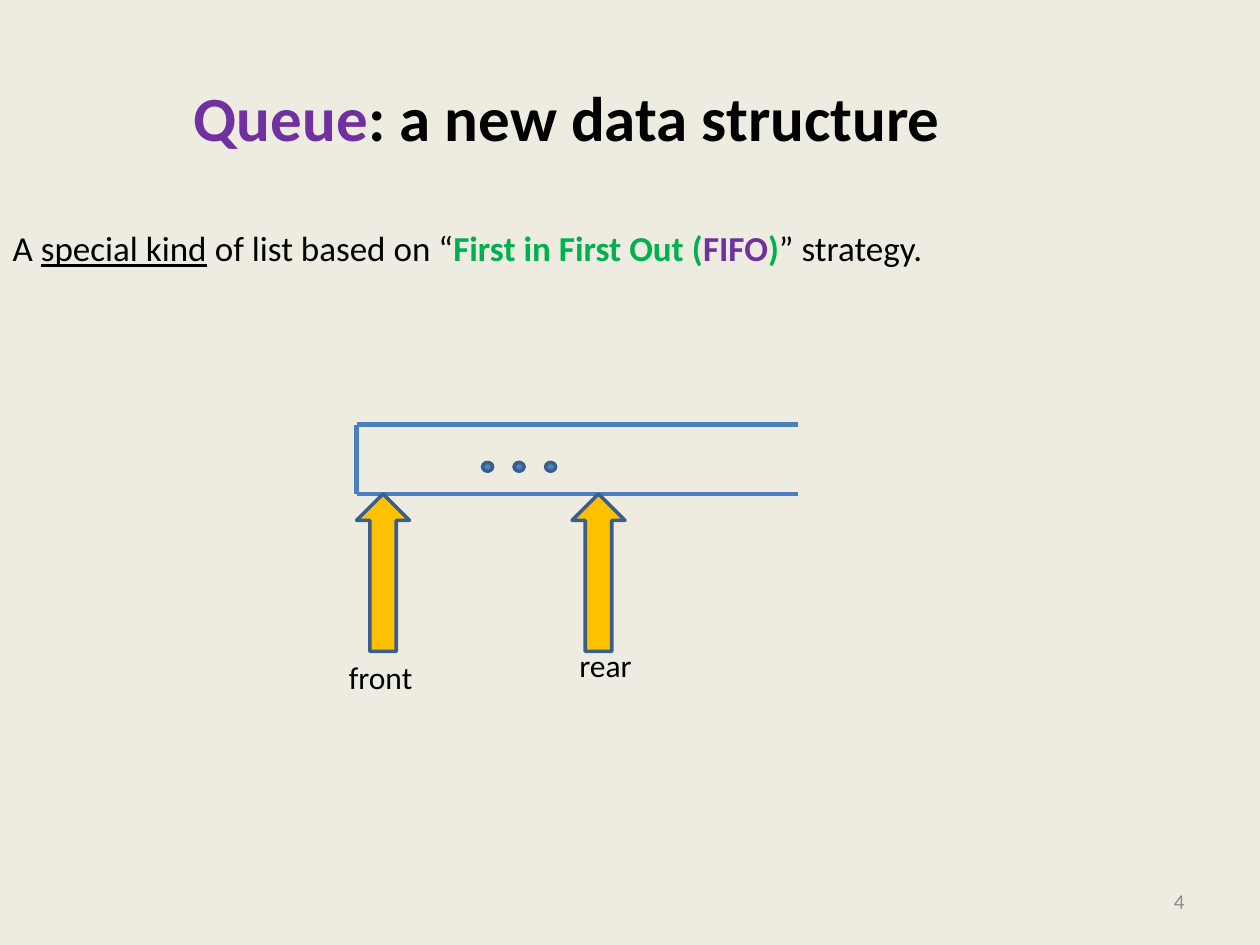
from lxml import etree
from pptx import Presentation
from pptx.dml.color import RGBColor
from pptx.enum.shapes import MSO_CONNECTOR, MSO_SHAPE
from pptx.enum.text import MSO_ANCHOR, MSO_AUTO_SIZE, PP_ALIGN
from pptx.oxml.ns import qn
from pptx.util import Inches, Pt

STRAIGHT = MSO_CONNECTOR.STRAIGHT
OVAL, UP_ARROW = MSO_SHAPE.OVAL, MSO_SHAPE.UP_ARROW
MIDDLE, TOP = MSO_ANCHOR.MIDDLE, MSO_ANCHOR.TOP
FIT_SHAPE = MSO_AUTO_SIZE.SHAPE_TO_FIT_TEXT
LEFT, CENTER, RIGHT = PP_ALIGN.LEFT, PP_ALIGN.CENTER, PP_ALIGN.RIGHT

CREAM = RGBColor(0xEE, 0xEC, 0xE1)
BLACK = RGBColor(0x00, 0x00, 0x00)
GRAY = RGBColor(0x8C, 0x8C, 0x8C)
PURPLE = RGBColor(0x70, 0x30, 0xA0)
GREEN = RGBColor(0x00, 0xB0, 0x50)
AMBER = RGBColor(0xFF, 0xC0, 0x00)
BLUE = RGBColor(0x4F, 0x81, 0xBD)
RAIL_BLUE = RGBColor(0x4B, 0x7E, 0xBC)
DARK_BLUE = RGBColor(0x3A, 0x5F, 0x8C)

FONT = "Calibri"
QUEUE_LEFT, QUEUE_RIGHT = 2.83, 6.33
QUEUE_TOP, QUEUE_BOTTOM = 3.37, 3.92


def place(shape, left, top, width, height):
    shape.left, shape.top = Inches(left), Inches(top)
    shape.width, shape.height = Inches(width), Inches(height)


def add_span(para, text, size, color=BLACK, bold=False, underline=False):
    span = para.add_run()
    span.text = text
    font = span.font
    font.name, font.size = FONT, Pt(size)
    font.bold, font.underline = bold, underline
    font.color.rgb = color


def write_spans(box, size, spans, align=LEFT, anchor=TOP):
    box.text_frame.vertical_anchor = anchor
    para = box.text_frame.paragraphs[0]
    para.alignment = align
    para.space_before = Pt(0)
    for text, style in spans:
        add_span(para, text, size, **style)


def remove_bullet(para):
    properties = para._p.get_or_add_pPr()
    properties.set("marL", "0")
    properties.set("indent", "0")
    etree.SubElement(properties, qn("a:buNone"))


def add_rail(group, start, end, weight):
    rail = group.shapes.add_connector(STRAIGHT, *map(Inches, start + end))
    rail.line.color.rgb = RAIL_BLUE
    rail.line.width = Pt(weight)
    etree.SubElement(rail._element.spPr, qn("a:effectLst"))


def add_solid(group, kind, left, top, width, height, fill):
    shape = group.shapes.add_shape(kind, *map(Inches, (left, top, width, height)))
    shape.shadow.inherit = False
    shape.fill.solid()
    shape.fill.fore_color.rgb = fill
    shape.line.color.rgb = DARK_BLUE
    shape.line.width = Pt(2)


def add_text(shapes, left, top, width, height):
    return shapes.add_textbox(*map(Inches, (left, top, width, height)))


def add_queue(page):
    group = page.shapes.add_group_shape()
    top_left, top_right = (QUEUE_LEFT, QUEUE_TOP), (QUEUE_RIGHT, QUEUE_TOP)
    bottom_left, bottom_right = (QUEUE_LEFT, QUEUE_BOTTOM), (QUEUE_RIGHT, QUEUE_BOTTOM)
    add_rail(group, top_left, top_right, 3)
    add_rail(group, bottom_right, bottom_left, 2.25)
    add_rail(group, bottom_left, top_left, 3)


def add_dots(page):
    group = page.shapes.add_group_shape()
    for index in range(3):
        add_solid(group, OVAL, 3.83 + 0.25 * index, 3.67, 0.08, 0.07, BLUE)


def add_pointer(page, arrow_left, label, label_left, label_top, label_width):
    group = page.shapes.add_group_shape()
    add_solid(group, UP_ARROW, arrow_left, QUEUE_BOTTOM, 0.42, 1.25, AMBER)
    box = add_text(group.shapes, label_left, label_top, label_width, 0.4)
    box.text_frame.word_wrap = False
    box.text_frame.auto_size = FIT_SHAPE
    write_spans(box, 18, [(label, {})])


def add_title(page):
    title = page.shapes.title
    place(title, 0, 0.3, 9, 1.25)
    spans = [
        ("Queue", {"color": PURPLE, "bold": True}),
        (": a new data structure", {"bold": True}),
    ]
    write_spans(title, 36, spans, CENTER, MIDDLE)


def add_body(page):
    body = page.placeholders[1]
    place(body, 0, 1.75, 9, 4.95)
    remove_bullet(body.text_frame.paragraphs[0])
    spans = [
        ("A ", {}),
        ("special kind", {"underline": True}),
        (" of list based on “", {}),
        ("First in First Out (", {"color": GREEN, "bold": True}),
        ("FIFO", {"color": PURPLE, "bold": True}),
        (")", {"color": GREEN, "bold": True}),
        ("” strategy.", {}),
    ]
    write_spans(body, 20, spans)


def add_page_number(page):
    box = add_text(page.shapes, 7.17, 6.95, 2.33, 0.4)
    box.text_frame.word_wrap = True
    write_spans(box, 12, [("4", {"color": GRAY})], RIGHT, MIDDLE)


def main():
    deck = Presentation()
    deck.slide_width, deck.slide_height = Inches(10), Inches(7.5)
    page = deck.slides.add_slide(deck.slide_layouts[1])
    page.background.fill.solid()
    page.background.fill.fore_color.rgb = CREAM
    add_page_number(page)
    add_title(page)
    add_body(page)
    add_queue(page)
    add_dots(page)
    add_pointer(page, QUEUE_LEFT, "front", 2.67, 5.17, 0.71)
    add_pointer(page, 4.54, "rear", 4.5, 5.08, 0.62)
    deck.save("out.pptx")


if __name__ == "__main__":
    main()
